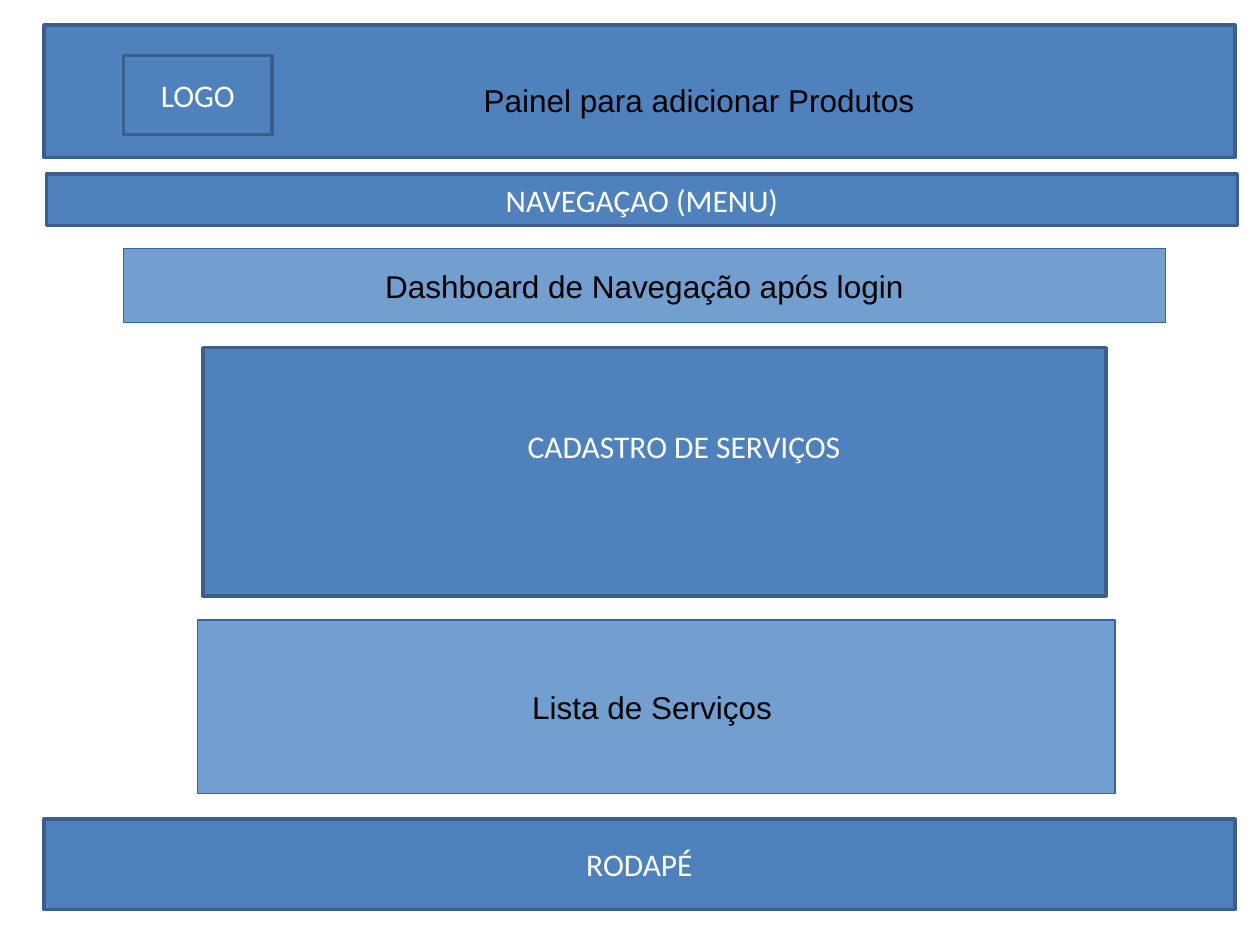
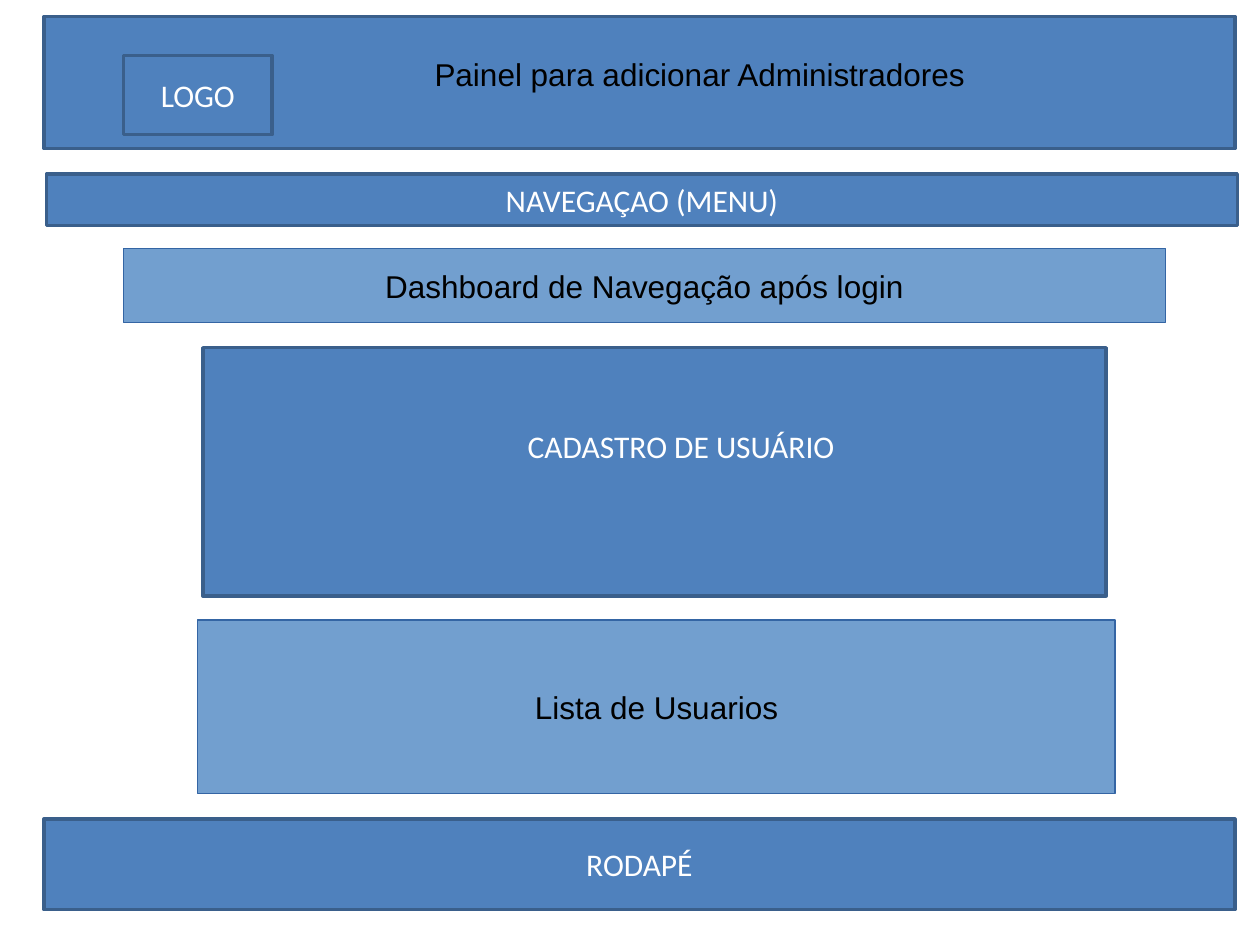
import pptx
import pptx.dml.color
import pptx.enum.shapes
import pptx.enum.text
import pptx.util
from dataclasses import dataclass

Inches = pptx.util.Inches
ALIGN = pptx.enum.text.PP_ALIGN
ANCHOR = pptx.enum.text.MSO_ANCHOR
AUTO_SIZE = pptx.enum.text.MSO_AUTO_SIZE


@dataclass(frozen=True)
class Theme:
    dark_fill: str = "4F81BD"
    dark_line: str = "3A5F8B"
    light_fill: str = "729FCF"
    light_line: str = "3465A4"
    white: str = "FFFFFF"
    black: str = "000000"
    heading_font: str = "Calibri"
    body_font: str = "Arial"
    text_size: int = 18
    dark_line_width: int = 2
    light_line_width: int = 0


THEME = Theme()

PANELS = [
    {
        "header_top": 0.2,
        "title": "Painel para adicionar Produtos",
        "title_box": (3.74, 0.59, 4.13, 0.39),
        "form": "CADASTRO DE SERVIÇOS",
        "list": "Lista de Serviços ",
    },
    {
        "header_top": 0.13,
        "title": "Painel para adicionar Administradores",
        "title_box": (3.35, 0.39, 4.72, 0.66),
        "form": "CADASTRO DE USUÁRIO",
        "list": "Lista de Usuarios",
    },
]

BAND_LEFT, BAND_WIDTH = 0.35, 9.45
MENU_BOX = (0.37, 1.38, BAND_WIDTH, 0.41)
FOOTER_BOX = (BAND_LEFT, 6.5, BAND_WIDTH, 0.72)
FORM_BOX = (1.61, 2.76, 7.17, 1.97)
LOGO_BOX = (0.98, 0.44, 1.18, 0.63)
FORM_LABEL_BOX = (4.09, 3.34, 2.8, 0.4)
DASHBOARD_BOX = (0.98, 1.97, 8.27, 0.59)
LIST_BOX = (1.57, 4.92, 7.28, 1.38)

DARK = {"fill": THEME.dark_fill, "line": THEME.dark_line, "width": THEME.dark_line_width,
        "font": THEME.heading_font, "color": THEME.white, "wrap": True}
LIGHT = {"fill": THEME.light_fill, "line": THEME.light_line, "width": THEME.light_line_width,
         "font": THEME.body_font, "color": THEME.black, "wrap": False}


def rgb(value):
    return pptx.dml.color.RGBColor.from_string(value)


def set_attributes(target, values):
    for name, value in values.items():
        setattr(target, name, value)


def write_text(shape, text, font, color, alignment, frame_format):
    set_attributes(shape.text_frame, frame_format)
    paragraph = shape.text_frame.paragraphs[0]
    paragraph.alignment = alignment
    run = paragraph.add_run()
    run.text = text
    set_attributes(run.font, {"name": font, "size": pptx.util.Pt(THEME.text_size)})
    run.font.color.rgb = rgb(color)


def add_block(slide, box, style, text=None):
    shape = slide.shapes.add_shape(
        pptx.enum.shapes.MSO_SHAPE.RECTANGLE, *map(Inches, box))
    shape.shadow.inherit = False
    shape.fill.solid()
    shape.fill.fore_color.rgb = rgb(style["fill"])
    shape.line.color.rgb = rgb(style["line"])
    shape.line.width = pptx.util.Pt(style["width"])
    if text:
        write_text(shape, text, style["font"], style["color"], ALIGN.CENTER,
                   {"vertical_anchor": ANCHOR.MIDDLE, "word_wrap": style["wrap"]})


def add_label(slide, box, text, font, color):
    shape = slide.shapes.add_textbox(*map(Inches, box))
    write_text(shape, text, font, color, ALIGN.LEFT,
               {"vertical_anchor": ANCHOR.TOP, "word_wrap": True,
                "auto_size": AUTO_SIZE.SHAPE_TO_FIT_TEXT})


def add_panel_slide(presentation, panel):
    slide = presentation.slides.add_slide(presentation.slide_layouts[6])
    add_block(slide, (BAND_LEFT, panel["header_top"], BAND_WIDTH, 1.05), DARK)
    add_block(slide, MENU_BOX, DARK, "NAVEGAÇAO (MENU)")
    add_block(slide, FOOTER_BOX, DARK, "RODAPÉ")
    add_block(slide, FORM_BOX, DARK)
    add_block(slide, LOGO_BOX, DARK, "LOGO")
    add_label(slide, FORM_LABEL_BOX, panel["form"], THEME.heading_font, THEME.white)
    add_block(slide, DASHBOARD_BOX, LIGHT, "Dashboard de Navegação após login")
    add_block(slide, LIST_BOX, LIGHT, panel["list"])
    add_label(slide, panel["title_box"], panel["title"], THEME.body_font, THEME.black)


def main():
    presentation = pptx.Presentation()
    set_attributes(presentation, {"slide_width": Inches(10), "slide_height": Inches(7.5)})
    for panel in PANELS:
        add_panel_slide(presentation, panel)
    presentation.save("out.pptx")


if __name__ == "__main__":
    main()
